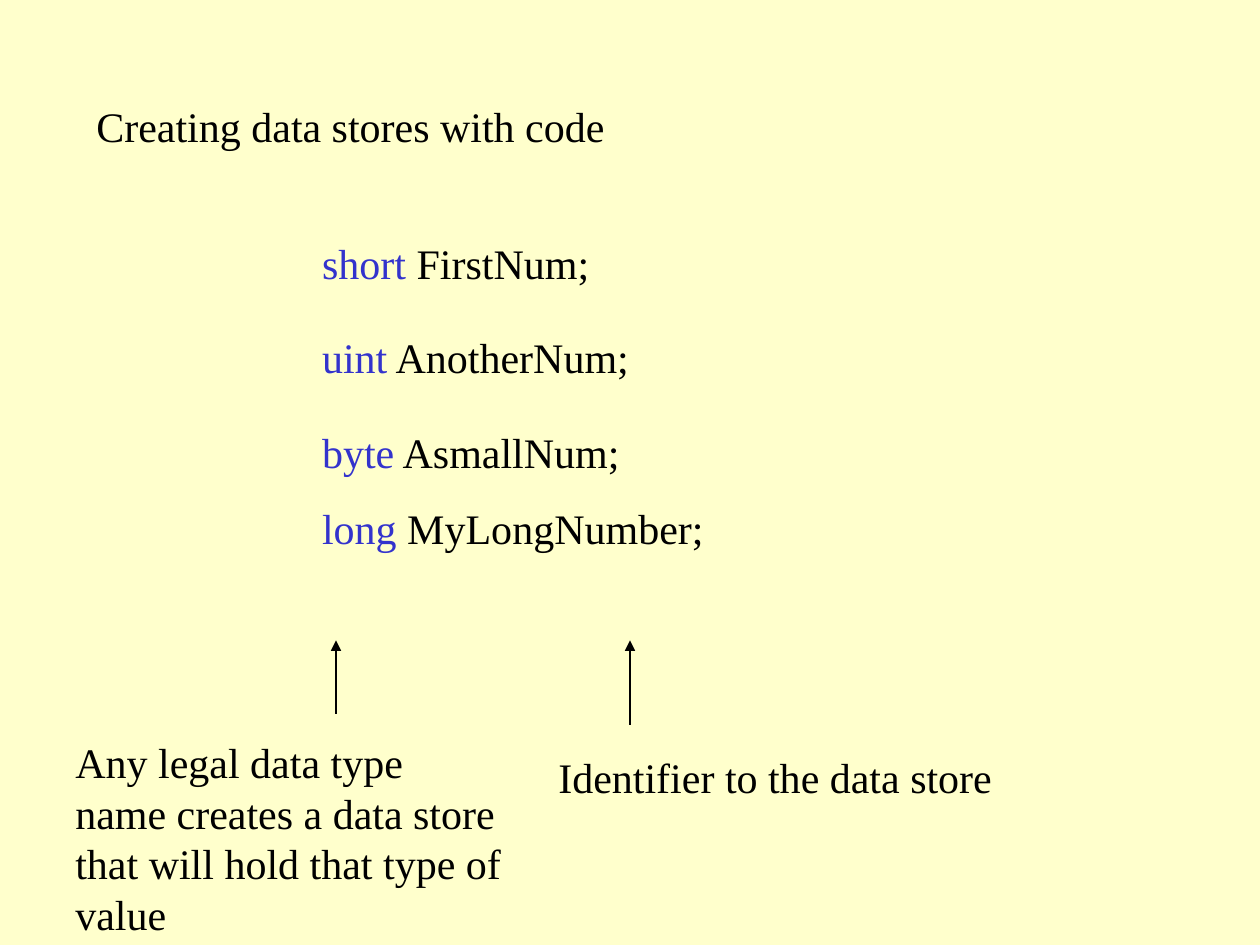
from pptx import Presentation
from pptx.dml.color import RGBColor
from pptx.enum.shapes import MSO_CONNECTOR, MSO_SHAPE
from pptx.enum.text import MSO_ANCHOR as Anchor, PP_ALIGN as Align
from pptx.oxml.ns import qn
from pptx.util import Pt
from lxml.etree import SubElement

BACKGROUND = "FFFFCC"
BLACK = "000000"
KEYWORD = "3333CC"


def color(value):
    return RGBColor.from_string(value)


def add_span(para, text, font="Times New Roman", size=24, ink=BLACK):
    span = para.add_run()
    span.text = text
    span.font.name = font
    span.font.size = Pt(size)
    span.font.color.rgb = color(ink)


def add_paragraph(frame, index):
    para = frame.add_paragraph() if index else frame.paragraphs[0]
    para.alignment = Align.LEFT
    para.space_before = Pt(15)
    return para


def add_label(page, text, left, top, width, height):
    box = page.shapes.add_textbox(Pt(left), Pt(top), Pt(width), Pt(height))
    box.text_frame.word_wrap = True
    add_span(add_paragraph(box.text_frame, 0), text)


def add_code(page, declarations, top, height):
    box = page.shapes.add_shape(
        MSO_SHAPE.RECTANGLE, Pt(177), Pt(top), Pt(366), Pt(height))
    box.shadow.inherit = False
    box.fill.solid()
    box.fill.fore_color.rgb = color(BACKGROUND)
    box.line.fill.background()
    frame = box.text_frame
    frame.word_wrap = True
    frame.vertical_anchor = Anchor.TOP
    for index, (keyword, name) in enumerate(declarations):
        para = add_paragraph(frame, index)
        add_span(para, keyword, ink=KEYWORD)
        add_span(para, f" {name};")


def add_up_arrow(page, x, bottom, top=366):
    arrow = page.shapes.add_connector(
        MSO_CONNECTOR.STRAIGHT, Pt(x), Pt(bottom), Pt(x), Pt(top))
    arrow.line.color.rgb = color(BLACK)
    arrow.line.width = Pt(0.75)
    SubElement(arrow.line._get_or_add_ln(), qn("a:tailEnd"), type="triangle")
    SubElement(arrow._element.spPr, qn("a:effectLst"))


def main():
    deck = Presentation()
    deck.slide_width, deck.slide_height = Pt(720), Pt(540)
    page = deck.slides.add_slide(deck.slide_layouts[6])
    page.background.fill.solid()
    page.background.fill.fore_color.rgb = color(BACKGROUND)

    add_label(page, "Creating data stores with code", 48, 54, 306, 36)
    add_code(page, [("short", "FirstNum")], 132, 36)
    add_code(page, [("uint", "AnotherNum")], 186, 36)
    add_code(page, [("byte", "AsmallNum"), ("long", "MyLongNumber")], 240, 124)
    add_label(page, "Any legal data type name creates a data store "
              "that will hold that type of value", 36, 417.6, 258, 122.4)
    add_up_arrow(page, 192, 408)
    add_label(page, "Identifier to the data store", 312, 426, 318, 36)
    add_up_arrow(page, 360, 414)
    deck.save("out.pptx")


if __name__ == "__main__":
    main()
